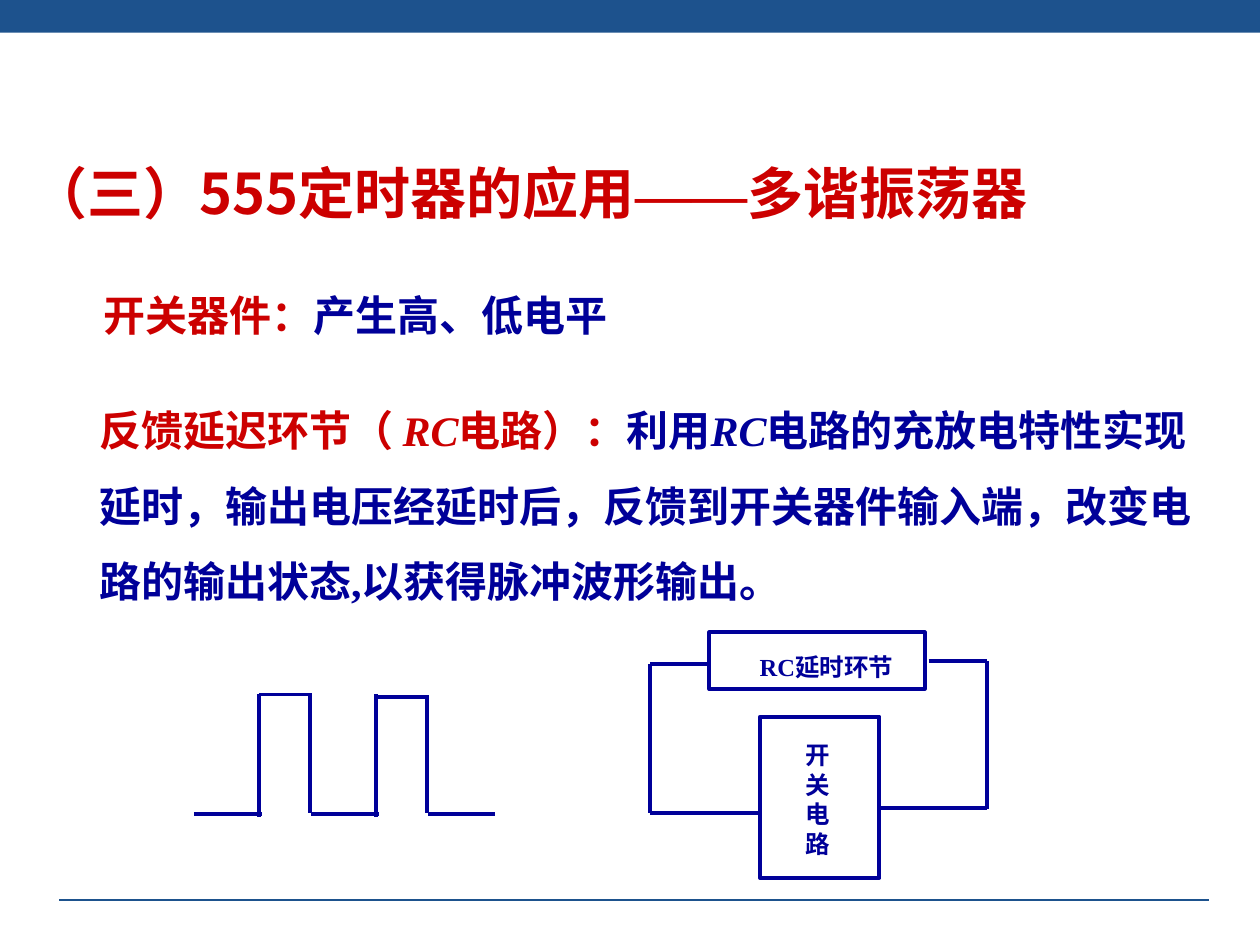
from dataclasses import dataclass

from lxml import etree
from pptx import Presentation
from pptx import util as u
from pptx.dml.color import RGBColor
from pptx.enum import shapes, text
from pptx.oxml.ns import qn


@dataclass(frozen=True)
class Theme:
    """Hold the colours, fonts and sizes of the slide."""
    bar: str = "1D528D"
    red: str = "CC0000"
    navy: str = "000099"
    serif: str = "Times New Roman"
    sans: str = "DejaVu Sans"
    han: str = "Noto Sans CJK SC"
    head: int = 32
    body: int = 24
    gap: int = 16
    label: int = 14
    rule: float = 0.75
    wire: float = 2.25


T = Theme()


def line(slide, box, start, end, hue=T.navy, width=T.wire):
    """Draw a plain line between two points of the box."""
    left, top = box[:2]
    ends = [u.Cm(v) for v in (left + start[0], top + start[1],
                              left + end[0], top + end[1])]
    wire = slide.shapes.add_connector(shapes.MSO_CONNECTOR.STRAIGHT, *ends)
    wire.line.color.rgb = RGBColor.from_string(hue)
    wire.line.width = u.Pt(width)
    etree.SubElement(wire.line._get_or_add_ln().getparent(), qn("a:effectLst"))


def block(slide, box, fill=None, edge=None):
    """Draw a rectangle with an optional fill and outline."""
    rect = slide.shapes.add_shape(shapes.MSO_SHAPE.RECTANGLE, *map(u.Cm, box))
    rect.shadow.inherit = False
    if fill:
        rect.fill.solid()
        rect.fill.fore_color.rgb = RGBColor.from_string(fill)
    else:
        rect.fill.background()
    if edge:
        rect.line.color.rgb = RGBColor.from_string(edge)
        rect.line.width = u.Pt(T.wire)
    else:
        rect.line.fill.background()


def write(slide, box, parts, align=text.PP_ALIGN.LEFT,
          anchor=text.MSO_ANCHOR.TOP):
    """Write one paragraph of (words, size, font, colour, italic, han) runs."""
    frame = slide.shapes.add_textbox(*map(u.Cm, box)).text_frame
    frame.word_wrap = True
    frame.vertical_anchor = anchor
    para = frame.paragraphs[0]
    para.alignment = align
    for words, size, face, hue, slant, han in parts:
        run = para.add_run()
        run.text = words
        font = run.font
        font.size, font.name = u.Pt(size), face
        font.bold, font.italic = True, slant
        font.color.rgb = RGBColor.from_string(hue)
        etree.SubElement(run._r.get_or_add_rPr(), qn("a:ea"), typeface=han)
    return para


def trim(slide, box):
    """Place the top bar and the bottom rule."""
    left, top, width, height = box
    block(slide, (left, top, width, 0.66), fill=T.bar)
    line(slide, box, (1.19, height - 0.91), (width - 1.02, height - 0.91),
         T.bar, T.rule)


def title(slide, box):
    """Write the heading."""
    parts = (("（三）555定时器的应用", T.han), ("——", T.serif), ("多谐振荡器", T.han))
    para = write(slide, box, [(words, T.head, face, T.red, False, face)
                              for words, face in parts])
    para.space_before = u.Pt(20)


def note(slide, box, parts, space=1.0):
    """Write a body paragraph of (words, colour, italic) parts."""
    para = write(slide, box, [(words, T.body, T.serif, hue, slant, T.han)
                              for words, hue, slant in parts])
    para.line_spacing = space


def pulse(slide, box):
    """Draw two periods of a square wave and its tail."""
    step, rise, fall, base = 2.36, 1.31, 2.33, box[3]
    for i in range(2):
        x, peak = i * step, i * 0.05
        line(slide, box, (x, base), (x + 1.37, base))
        line(slide, box, (x + rise, base + 0.05), (x + rise, 0))
        line(slide, box, (x + rise, peak), (x + fall + 0.05, peak))
        line(slide, box, (x + fall, peak), (x + fall, base - 0.03))
    line(slide, box, (2 * step, base), (box[2], base))


def loop(slide, box):
    """Draw the switch circuit with its delay feedback loop."""
    left, top, right = box[:3]
    wires = (((0, 3.63), (2.21, 3.63)), ((0, 0.64), (1.19, 0.64)),
             ((0, 0.64), (0, 3.63)), ((right, 0.58), (right, 3.56)),
             ((5.61, 0.58), (right, 0.58)), ((4.62, 3.53), (right, 3.53)))
    for start, end in wires:
        line(slide, box, start, end)
    side, mid = text.PP_ALIGN.RIGHT, text.PP_ALIGN.CENTER
    nodes = (((2.21, 1.7, 2.41, 3.25), (2.87, 1.63, 0.91, 2.79),
              "开关电路", T.sans, side),
             ((1.19, 0, 4.34, 1.14), (0.94, -0.23, 5.03, 1.8),
              "RC延时环节", T.serif, mid))
    for rect, area, words, face, align in nodes:
        spot, room = [(left + x, top + y, w, h) for x, y, w, h in (rect, area)]
        block(slide, spot, edge=T.navy)
        write(slide, room, ((" ", T.gap, T.sans, T.navy, False, T.han),
                            (words, T.label, face, T.navy, False, T.han)),
              align, text.MSO_ANCHOR.MIDDLE)


def main():
    """Build and save the slide."""
    deck = Presentation()
    deck.slide_width, deck.slide_height = u.Cm(25.4), u.Cm(19.05)
    slide = deck.slides.add_slide(deck.slide_layouts[6])
    trim(slide, (0, 0, 25.4, 19.05))
    title(slide, (0.38, 3.07, 21.62, 1.63))
    note(slide, (1.83, 5.72, 11.28, 1.27),
         (("开关器件：", T.red, False), ("产生高、低电平", T.navy, False)))
    note(slide, (1.75, 7.52, 22.99, 4.83),
         (("反馈延迟环节（ ", T.red, False), ("RC", T.red, True),
          ("电路）：", T.red, False), ("利用", T.navy, False),
          ("RC", T.navy, True),
          ("电路的充放电特性实现延时，输出电压经延时后，反馈到开关器件输入端，"
           "改变电路的输出状态,以获得脉冲波形输出。", T.navy, False)), 1.5)
    pulse(slide, (3.91, 14, 6.07, 2.41))
    loop(slide, (13.11, 12.75, 6.79, 4.95))
    deck.save("out.pptx")


if __name__ == "__main__":
    main()
